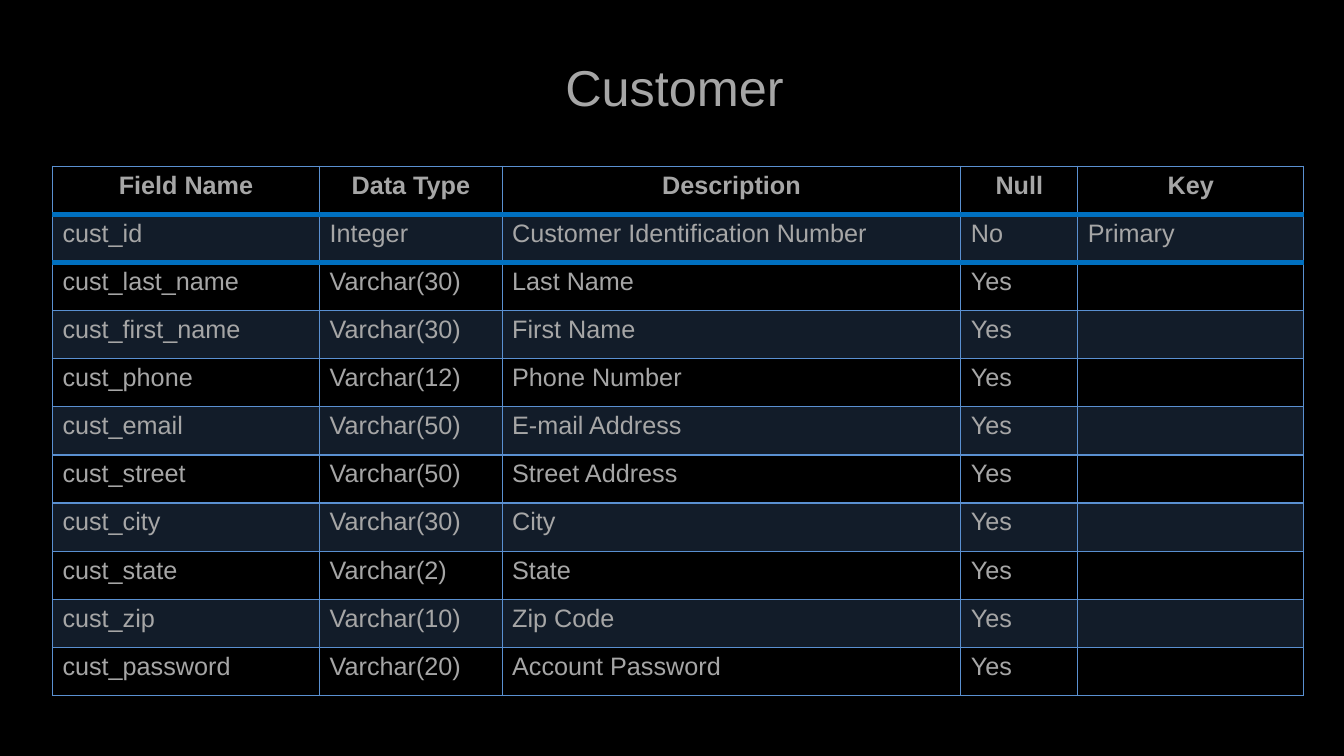
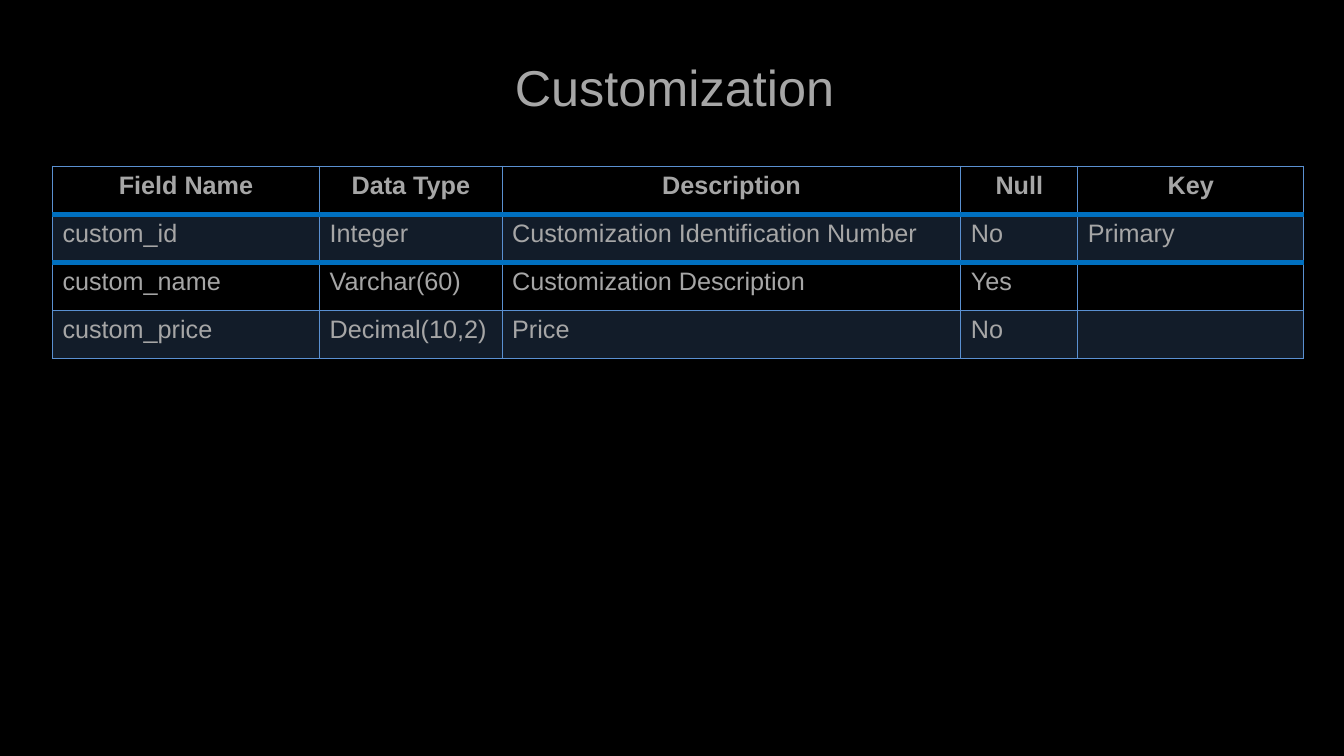
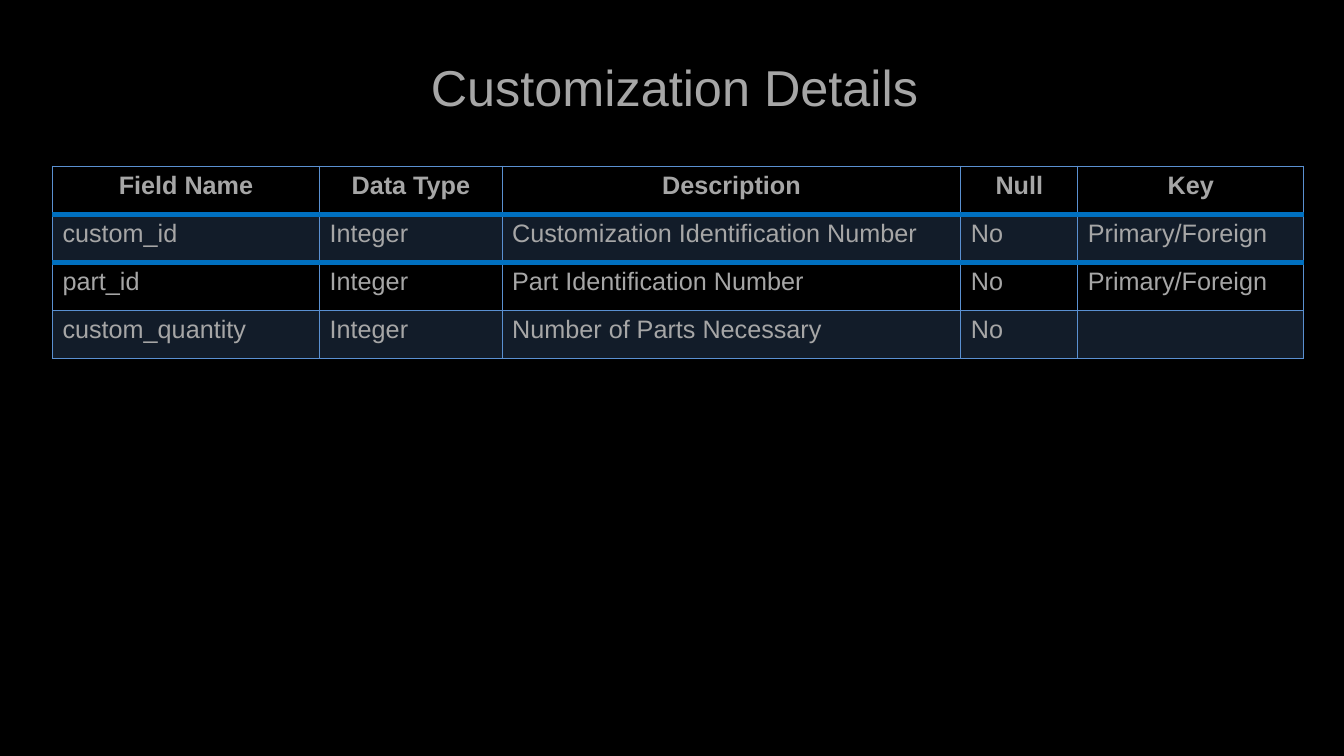
from dataclasses import dataclass

from pptx import Presentation
from pptx.dml.color import RGBColor
from pptx.enum.text import MSO_ANCHOR, MSO_AUTO_SIZE, PP_ALIGN
from pptx.oxml.ns import qn
from pptx.util import Inches, Pt
from lxml.etree import SubElement


@dataclass(frozen=True)
class Theme:
    font: str = "Arial"
    background: str = "000000"
    text: str = "A6A6A6"
    grid: str = "5A90D1"
    rule: str = "0070C0"
    band_alpha: int = 20
    title_size: float = 36
    table_size: float = 18
    grid_width: float = 1
    rule_width: float = 4.5


HEADERS = ("Field Name", "Data Type", "Description", "Null", "Key")
COL_WIDTHS = (2.65, 1.81, 4.55, 1.16, 2.24)
ROW_HEIGHT = 5.25 / 11
RULED_ROWS = (0, 1)  # rows with a heavy line below

ENTITIES = {
    "Customer": [
        ("cust_id", "Integer", "Customer Identification Number", "No", "Primary"),
        ("cust_last_name", "Varchar(30)", "Last Name", "Yes", ""),
        ("cust_first_name", "Varchar(30)", "First Name", "Yes", ""),
        ("cust_phone", "Varchar(12)", "Phone Number", "Yes", ""),
        ("cust_email", "Varchar(50)", "E-mail Address", "Yes", ""),
        ("cust_street", "Varchar(50)", "Street Address", "Yes", ""),
        ("cust_city", "Varchar(30)", "City", "Yes", ""),
        ("cust_state", "Varchar(2)", "State", "Yes", ""),
        ("cust_zip", "Varchar(10)", "Zip Code", "Yes", ""),
        ("cust_password", "Varchar(20)", "Account Password", "Yes", ""),
    ],
    "Customization": [
        ("custom_id", "Integer", "Customization Identification Number", "No", "Primary"),
        ("custom_name", "Varchar(60)", "Customization Description", "Yes", ""),
        ("custom_price", "Decimal(10,2)", "Price", "No", ""),
    ],
    "Customization Details": [
        ("custom_id", "Integer", "Customization Identification Number", "No", "Primary/Foreign"),
        ("part_id", "Integer", "Part Identification Number", "No", "Primary/Foreign"),
        ("custom_quantity", "Integer", "Number of Parts Necessary", "No", ""),
    ],
}


class Deck:
    """Holds the theme, the presentation and the current slide."""

    def __init__(self, theme):
        self.theme = theme
        self.prs = Presentation()
        self.prs.slide_width = Inches(13.33)
        self.prs.slide_height = Inches(7.5)
        fill = self.prs.slide_master.background.fill
        fill.solid()
        fill.fore_color.rgb = RGBColor.from_string(theme.background)
        self.slide = None

    def add_slide(self, title):
        self.slide = self.prs.slides.add_slide(self.prs.slide_layouts[5])
        sp = self.slide.shapes.title
        sp.left, sp.top = Inches(1.99), Inches(0.51)
        sp.width, sp.height = Inches(9.4), Inches(0.71)
        tf = sp.text_frame
        tf.text = title
        tf.word_wrap = True
        tf.auto_size = MSO_AUTO_SIZE.SHAPE_TO_FIT_TEXT
        tf.vertical_anchor = MSO_ANCHOR.TOP
        self.style(tf.paragraphs[0], self.theme.title_size, align=PP_ALIGN.CENTER)

    def style(self, p, size, bold=False, align=PP_ALIGN.LEFT):
        p.alignment = align
        p.font.name = self.theme.font
        p.font.size = Pt(size)
        p.font.bold = bold
        p.font.color.rgb = RGBColor.from_string(self.theme.text)

    def table(self, rows):
        table = self.slide.shapes.add_table(
            len(rows), len(COL_WIDTHS), Inches(0.52), Inches(1.65),
            Inches(sum(COL_WIDTHS)), Inches(ROW_HEIGHT * len(rows))).table
        table.first_row = table.horz_banding = False
        for column, width in zip(table.columns, COL_WIDTHS):
            column.width = Inches(width)
        for i, row in enumerate(rows):
            for j, text in enumerate(row):
                self.cell(table.cell(i, j), text, i)

    def cell(self, cell, text, row):
        header = row == 0
        cell.text = text
        self.style(cell.text_frame.paragraphs[0], self.theme.table_size, header,
                   PP_ALIGN.CENTER if header else PP_ALIGN.LEFT)
        self.borders(cell, row)
        if row % 2:
            self.band(cell)
        else:
            cell.fill.background()

    def borders(self, cell, row):
        heavy = {"a:lnT": row - 1 in RULED_ROWS, "a:lnB": row in RULED_ROWS}
        tcPr = cell._tc.get_or_add_tcPr()
        for side in ("a:lnL", "a:lnR", "a:lnT", "a:lnB"):
            color, width = ((self.theme.rule, self.theme.rule_width) if heavy.get(side)
                            else (self.theme.grid, self.theme.grid_width))
            ln = SubElement(tcPr, qn(side), w=str(Pt(width)))
            SubElement(SubElement(ln, qn("a:solidFill")), qn("a:srgbClr"), val=color)

    def band(self, cell):
        """Fill the cell with the translucent grid colour."""
        cell.fill.solid()
        cell.fill.fore_color.rgb = RGBColor.from_string(self.theme.grid)
        color = cell._tc.tcPr.find(qn("a:solidFill"))[0]
        SubElement(color, qn("a:alpha"), val=str(self.theme.band_alpha * 1000))


def main():
    deck = Deck(Theme())
    for name, fields in ENTITIES.items():
        deck.add_slide(name)
        deck.table([HEADERS, *fields])
    deck.prs.save("out.pptx")


if __name__ == "__main__":
    main()
